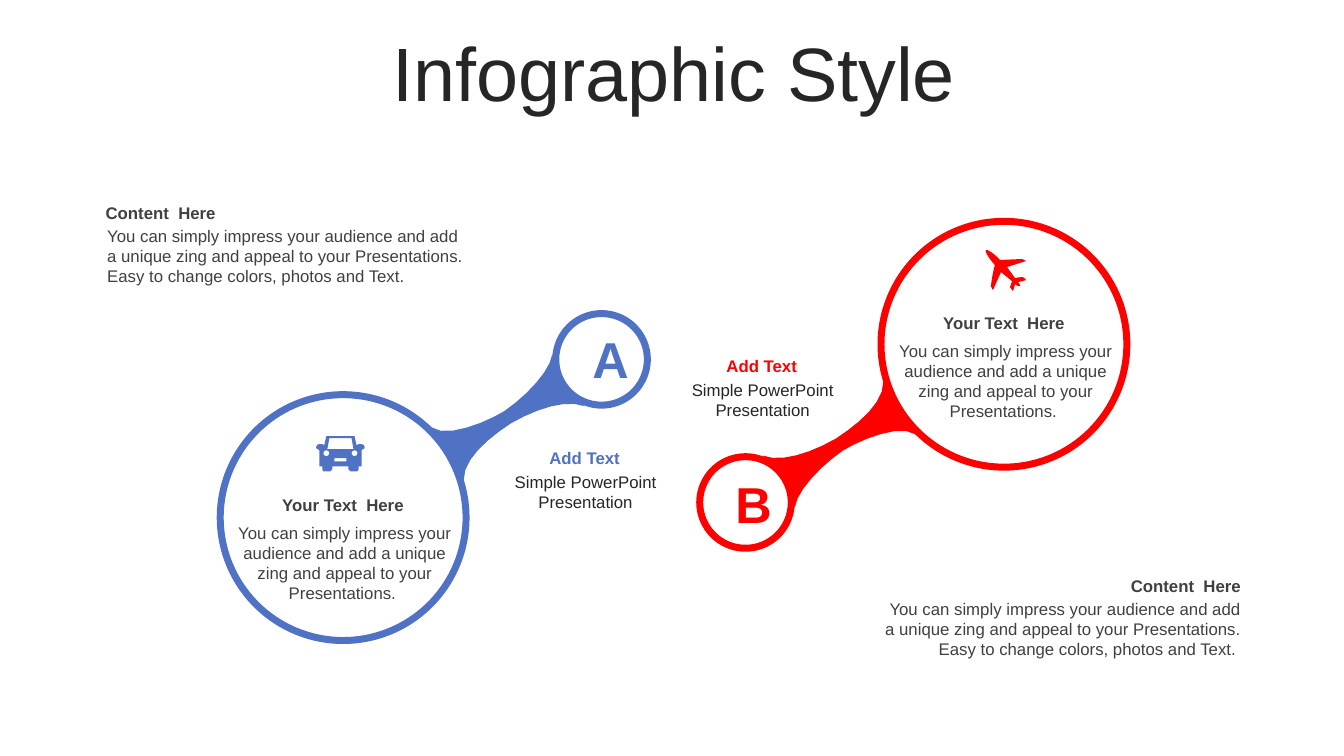
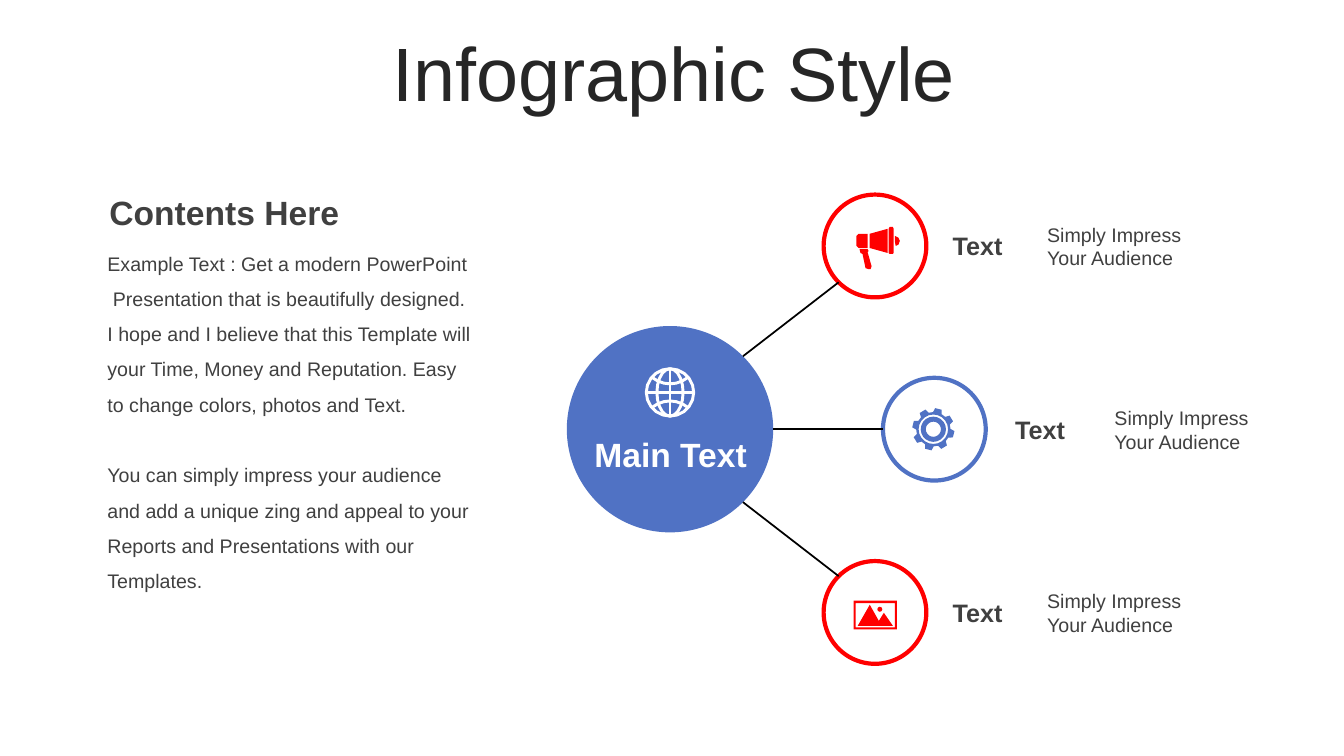
from dataclasses import dataclass
from math import cos, dist, radians, sin

from pptx import Presentation
from pptx.dml.color import RGBColor
from pptx.enum.shapes import MSO_CONNECTOR, MSO_SHAPE
from pptx.enum.text import MSO_ANCHOR, PP_ALIGN
from pptx.oxml.ns import qn
from pptx.util import Pt
from lxml.etree import SubElement


@dataclass(frozen=True)
class Theme:
    font: str = "Arial"
    blue: str = "5072C4"
    red: str = "FF0000"
    dark: str = "262626"
    grey: str = "404040"
    white: str = "FFFFFF"
    black: str = "000000"
    title: int = 54
    letter: int = 36
    heading: int = 24
    label: int = 18
    body: int = 14
    small: int = 12


T = Theme()
LEFT, CENTER, RIGHT = PP_ALIGN.LEFT, PP_ALIGN.CENTER, PP_ALIGN.RIGHT
TOP, MIDDLE = MSO_ANCHOR.TOP, MSO_ANCHOR.MIDDLE
ICON_UNIT = 0.72  # points per icon grid step
PIVOT = (481.1, 307.8)

NECK = """M 394.6 252.7 C 396 270.7 403.2 279.4 417.6 290.2
    C 404.6 285.1 383.8 291.6 365 302.4 C 348.5 313.2 330.5 328.3 331.2 343.4
    L 308.2 305.3 C 319 313.2 347 301.7 360 293.8 C 375.8 283 393.1 265 394.6 252.7"""
CAR_BODY = """M 10 0 L 38 0 L 40 9 C 41 8 41 8 42 8 L 45 8 C 47 8 48 9 48 11
    L 48 12 C 48 13 47 14 45 14 L 45 30 L 42 30 L 42 33 C 42 34 42 35 41 35
    L 34 35 C 33 35 32 34 32 33 L 32 30 L 16 30 L 16 33 C 16 34 15 35 14 35
    L 7 35 C 6 35 6 34 6 33 L 6 30 L 3 30 L 3 14 C 1 14 0 13 0 12
    L 0 11 C 0 9 1 8 3 8 L 6 8 C 7 8 7 9 8 9"""
CAR_WINDOW = "M 13 2 L 11 13 L 37 13 L 35 2"
CAR_GRILLE = "M 18 22 C 15 22 15 25 18 25 L 30 25 C 33 25 33 22 30 22"
PLANE = """M 40 31 L 32 33 C 33 34 35 37 34 37 C 33 38 31 36 29 35 L 27 42 L 24 38
    L 26 32 L 15 23 L 7 41 L 5 37 C 6 29 7 23 9 16 C 5 12 -2 2 0 1
    C 2 0 11 7 14 11 L 36 10 L 40 12 L 21 18 L 29 29 C 31 28 37 28 37 28"""
MEGAPHONE = (
    """M 11 22 L 12 24 C 12 24 12 25 11 25 L 15 39 C 15 40 15 42 14 42 L 12 42
    C 11 43 10 42 9 41 L 6 27 C 5 27 4 26 4 26 L 3 22""",
    "M 38 9 C 41 9 43 12 43 14 C 43 17 41 19 39 19 C 38 16 38 13 38 9",
    "M 2 7 L 11 7 L 11 21 L 2 21 C 1 21 0 20 0 19 L 0 9 C 0 8 1 7 2 7",
    "M 31 2 L 31 26 L 13 21 L 13 7",
    """M 33 0 L 36 0 C 37 0 37 1 37 2 L 37 26 C 37 27 37 27 36 27 L 33 27
    C 33 27 32 27 32 26 L 32 2 C 32 1 33 0 33 0""",
)
PHOTO = (
    "M 0 0 L 43 0 L 43 28.5 L 0 28.5",
    "M 2 2.5 L 2 26.5 L 41 26.5 L 41 2.5",
    "M 16 4 L 25 20 L 30 12 L 39 25 L 4 25",
)
GLOBE_LINES = (
    "M -24 0 L 24 0",
    "M 0 -24 L 0 24",
    "M -18 -15 C -7 -6.3 7 -6.3 18 -15",
    "M -18 15 C -7 6.3 7 6.3 18 15",
)


def rgb(color):
    return RGBColor.from_string(color)


def polar(cx, cy, radius, degrees):
    a = radians(degrees)
    return cx + radius * cos(a), cy + radius * sin(a)


def half_turn(x, y):
    return 2 * PIVOT[0] - x, 2 * PIVOT[1] - y


def stay(x, y):
    return x, y


def trace(d):
    """Turn an outline of M, L and C commands into points, few on short curves."""
    points = []
    for command in d.replace("M", "|").replace("L", "|").replace("C", "|").split("|")[1:]:
        n = [float(v) for v in command.split()]
        pairs = list(zip(n[::2], n[1::2]))
        if len(pairs) == 1:
            points += pairs
            continue
        ends = [points[-1], *pairs]
        steps = min(6, 1 + int(dist(ends[0], ends[-1]) / 4))
        for i in range(1, steps + 1):
            t = i / steps
            weights = ((1 - t) ** 3, 3 * t * (1 - t) ** 2, 3 * t * t * (1 - t), t ** 3)
            points.append(tuple(sum(w * e[k] for w, e in zip(weights, ends)) for k in (0, 1)))
    return points


def oval(cx, cy, rx, ry=None):
    """Return the points of a closed oval outline."""
    ry = ry or rx
    step = 45 if rx < 5 else 18
    return [(cx + rx * cos(radians(a)), cy + ry * sin(radians(a))) for a in range(0, 361, step)]


def gear_rim():
    """Return the outline of eight teeth around the grid origin."""
    corners = ((17, -15), (21, -9), (21, 9), (17, 15))
    return [polar(0, 0, r, -76 + 45 * k + a) for k in range(8) for r, a in corners]


def paint(sp, fill=None, line=None, weight=None):
    sp.shadow.inherit = False
    if fill:
        sp.fill.solid()
        sp.fill.fore_color.rgb = rgb(fill)
    else:
        sp.fill.background()
    if line:
        sp.line.color.rgb = rgb(line)
        sp.line.width = Pt(weight)
    else:
        sp.line.fill.background()


def outline(s, contours, fill=None, line=None, weight=None):
    """Draw contours as one freeform; inner contours become holes."""
    contours = [[(Pt(x), Pt(y)) for x, y in c] for c in contours]
    builder = s.shapes.build_freeform(*contours[0][0], scale=1.0)
    for i, points in enumerate(contours):
        if i:
            builder.move_to(*points[0])
        builder.add_line_segments(points[1:], close=fill is not None)
    paint(builder.convert_to_shape(), fill, line, weight)


def icon(s, x, y, contours, **style):
    """Draw contours given in icon grid steps from (x, y)."""
    outline(s, [[(x + ICON_UNIT * a, y + ICON_UNIT * b) for a, b in c] for c in contours], **style)


def circle(s, cx, cy, r, **style):
    sp = s.shapes.add_shape(MSO_SHAPE.OVAL, Pt(cx - r), Pt(cy - r), Pt(2 * r), Pt(2 * r))
    paint(sp, **style)


def connector(s, start, end):
    c = s.shapes.add_connector(MSO_CONNECTOR.STRAIGHT, *(Pt(v) for v in (*start, *end)))
    c.line.color.rgb = rgb(T.black)
    c.line.width = Pt(1.25)
    SubElement(c._element.spPr, qn("a:effectLst"))


def text(s, box, lines, size, color, bold=False, anchor=TOP, inset=7.2, gap=0, **layout):
    """Add a text box; gap is the space before each later paragraph."""
    tf = s.shapes.add_textbox(*(Pt(v) for v in box)).text_frame
    frame = {"word_wrap": True, "vertical_anchor": anchor,
             "margin_left": Pt(inset), "margin_right": Pt(inset)}
    for name, value in frame.items():
        setattr(tf, name, value)
    font = {"name": T.font, "size": Pt(size), "bold": bold}
    for i, line in enumerate(lines):
        p = tf.add_paragraph() if i else tf.paragraphs[0]
        for name, value in layout.items():
            setattr(p, name, value)
        if i and gap:
            p.space_before = Pt(gap)
        r = p.add_run()
        r.text = line
        for name, value in font.items():
            setattr(r.font, name, value)
        r.font.color.rgb = rgb(color)


def caption(s, x, y, w, offset, height, head, body, head_color=T.grey,
            body_color=T.grey, align=CENTER, anchor=TOP):
    """Add a bold heading with its body text below."""
    dx, dy = offset
    text(s, (x, y, w, 21.6), [head], T.small, head_color, bold=True, anchor=anchor, alignment=align)
    text(s, (x + dx, y + dy, w - dx, height), [body], T.small, body_color, alignment=align)


def titled_slide(prs, title):
    s = prs.slides.add_slide(prs.slide_layouts[6])
    text(s, (25.6, 26.6, 911.5, 56.9), [title], T.title, T.dark, anchor=MIDDLE,
         alignment=CENTER, line_spacing=0.9)
    return s


def linked_circles(s, color, turn):
    """Draw a big and a small ring joined by a neck."""
    for cx, cy, r in ((245.1, 369.7, 87.8), (429.7, 256.7, 32.7)):
        circle(s, *turn(cx, cy), r, fill=T.white, line=color, weight=5)
    outline(s, [[turn(x, y) for x, y in trace(NECK)]], fill=color)


def circles_slide(prs):
    s = titled_slide(prs, "Infographic Style")
    impress = "You can simply impress your audience and add a unique zing and appeal to your Presentations. "
    easy = impress + "Easy to change colors, photos and Text."
    halves = (
        (T.blue, stay, "A", (416, 230.4), (154.3, 349.8), (349.9, 316.1),
         (68.4, 141.1), easy, LEFT),
        (T.red, half_turn, "B", (518.2, 334.1), (626.4, 219.6), (476.4, 250.6),
         (622.1, 407.5), easy + " ", RIGHT),
    )
    for color, turn, letter, letter_at, inner_at, add_at, content_at, content, align in halves:
        linked_circles(s, color, turn)
        text(s, (*letter_at, 29.5, 51.1), [letter], T.letter, color, bold=True,
             anchor=MIDDLE, alignment=CENTER)
        caption(s, *inner_at, 181.4, (2.6, 20), 65.5, "Your Text  Here", impress)
        caption(s, *add_at, 135.4, (1.4, 17.3), 36, "Add Text",
                "Simple PowerPoint Presentation", color, T.dark)
        caption(s, *content_at, 271.4, (1.1, 16.6), 51.1, "Content  Here", content,
                align=align, anchor=MIDDLE)
    car = [trace(d) for d in (CAR_BODY, CAR_WINDOW, CAR_GRILLE)]
    icon(s, 225.9, 311.5, car + [oval(10, 17, 3), oval(38, 17, 3)], fill=T.blue)
    icon(s, 704.2, 177.8, [trace(PLANE)], fill=T.red)


def hub_slide(prs):
    s = titled_slide(prs, "Infographic Style")
    text(s, (70.9, 167.7, 272.2, 234), [
        "Example Text : Get a modern PowerPoint  Presentation that is beautifully designed. "
        "I hope and I believe that this Template will your Time, Money and Reputation. "
        "Easy to change colors, photos and Text.",
        "You can simply impress your audience and add a unique zing and appeal to your "
        "Reports and Presentations with our Templates.",
    ], T.body, T.grey, inset=5.8, gap=25.2, line_spacing=1.5)
    text(s, (71.1, 133.5, 272.2, 36), ["Contents Here"], T.heading, T.grey, bold=True)

    hub_x, hub_y, hub_r, node_r, pitch = 478.6, 306.6, 73.7, 36.7, 130.9
    circle(s, hub_x, hub_y, hub_r, fill=T.blue)
    text(s, (407, 306.4, 144, 36), ["Main Text"], T.heading, T.white, bold=True, alignment=CENTER)
    globe = [oval(0, 0, 23.5), oval(0, 0, 13, 23.5)] + [trace(d) for d in GLOBE_LINES]
    icon(s, hub_x, 280.3, globe, line=T.white, weight=2.1)

    nodes = ((625, T.red, 673.4, 740.9), (667.4, T.blue, 718, 789), (625, T.red, 673.4, 740.9))
    for row, (x, color, label_x, detail_x) in enumerate(nodes, start=-1):
        y = hub_y + row * pitch
        circle(s, x, y, node_r, line=color, weight=3)
        connector(s, polar(x, y, node_r, 180 + 45 * row), polar(hub_x, hub_y, hub_r, 45 * row))
        text(s, (label_x, y - 14.5, 56.9, 28.8), ["Text"], T.label, T.grey, bold=True)
        text(s, (detail_x, y - 20.2, 124.6, 41), ["Simply Impress", "Your Audience"],
             T.body, T.grey, anchor=MIDDLE)
    icon(s, 611.8, 162, [trace(d) for d in MEGAPHONE], fill=T.red)
    icon(s, 666.7, hub_y, [gear_rim()] + [oval(0, 0, r) for r in (14.6, 12.5, 7.5)], fill=T.blue)
    icon(s, 609.8, 429.1, [trace(d) for d in PHOTO] + [oval(26, 8.5, 2.5)], fill=T.red)


def main():
    prs = Presentation()
    prs.slide_width, prs.slide_height = Pt(960), Pt(540)
    circles_slide(prs)
    hub_slide(prs)
    prs.save("out.pptx")


if __name__ == "__main__":
    main()
